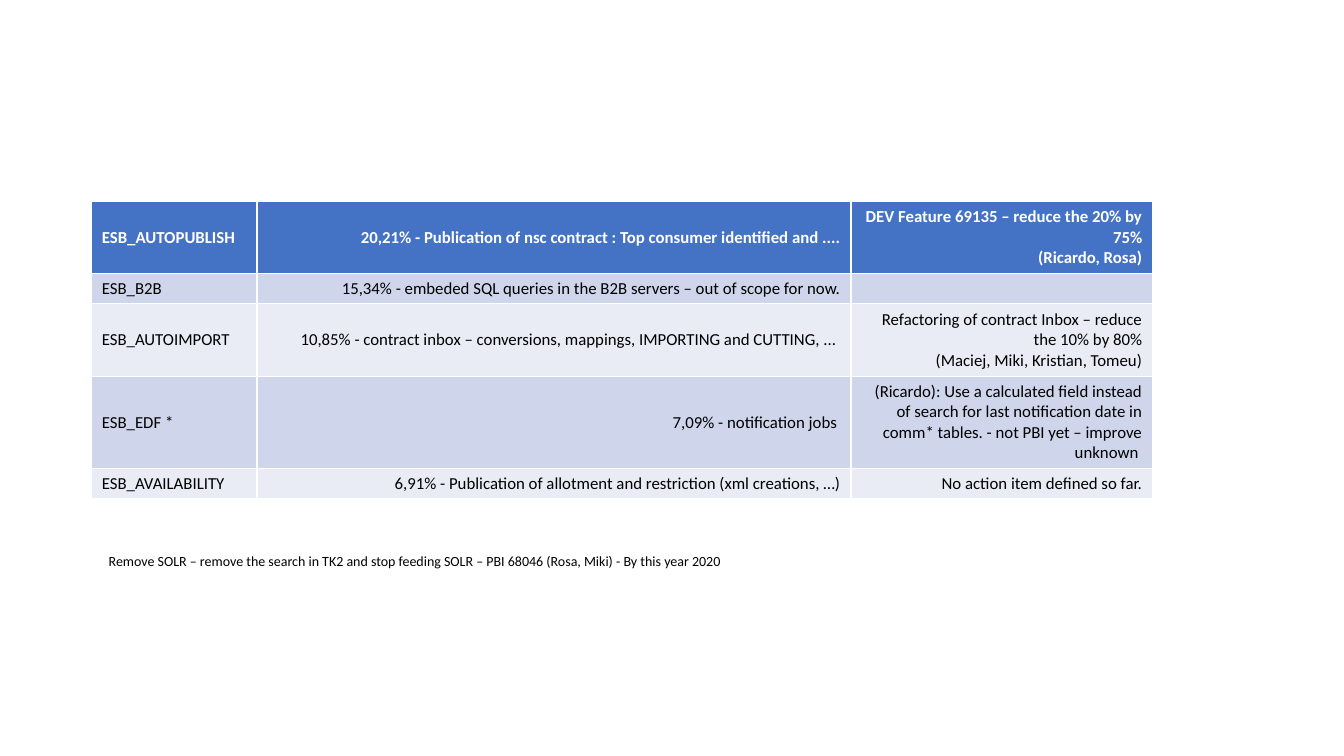
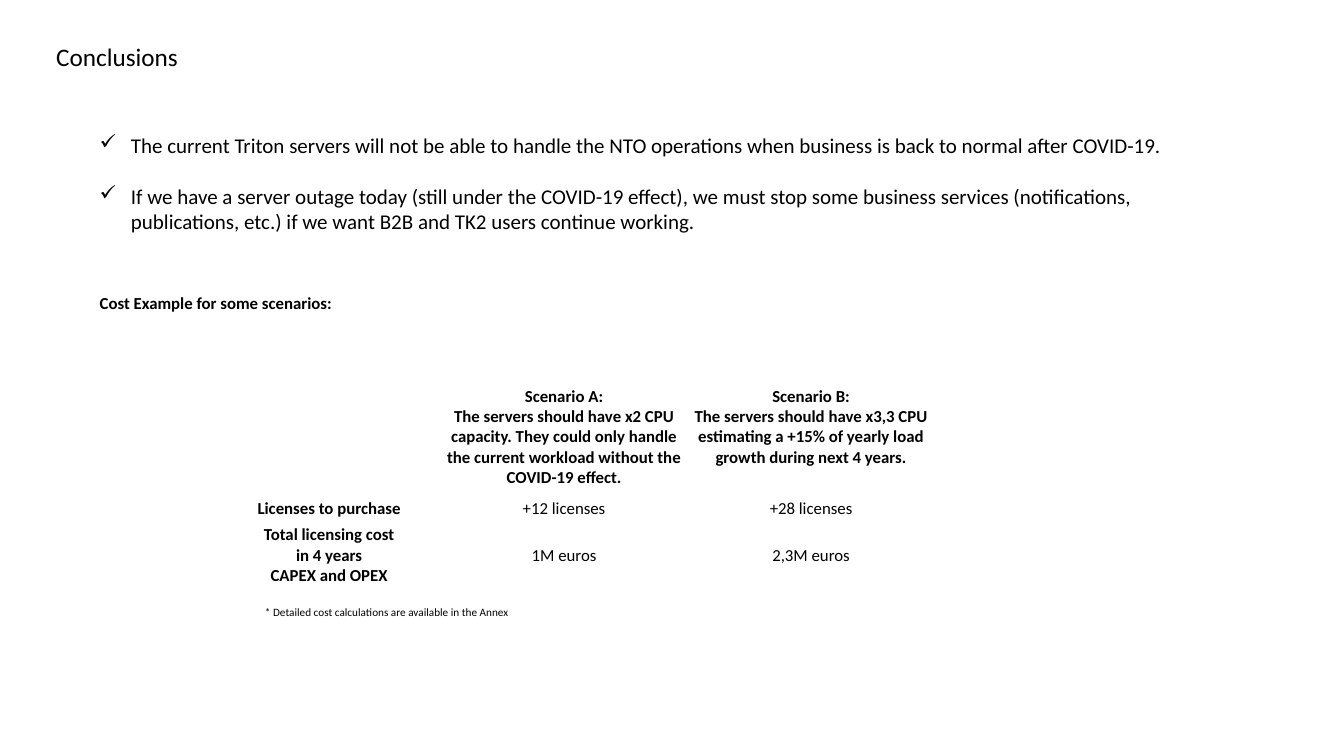
import lxml.etree
import pptx
import pptx.dml.color
import pptx.enum.text
import pptx.oxml.ns
import pptx.util

SLIDE_WIDTH, SLIDE_HEIGHT = 13.33, 7.5
FONT = "Calibri"
BLACK, WHITE = "000000", "FFFFFF"
HEADER_FILL = "4472C4"
BAND_FILLS = ("CFD5EA", "E9EBF5")
LEFT = pptx.enum.text.PP_ALIGN.LEFT
RIGHT = pptx.enum.text.PP_ALIGN.RIGHT
CENTER = pptx.enum.text.PP_ALIGN.CENTER
TOP = pptx.enum.text.MSO_ANCHOR.TOP
MIDDLE = pptx.enum.text.MSO_ANCHOR.MIDDLE

CONSUMERS = [
    ("ESB_AUTOPUBLISH",
     "20,21% - Publication of nsc contract : Top consumer identified and ....",
     "DEV Feature 69135 – reduce the 20% by 75%\n(Ricardo, Rosa)"),
    ("ESB_B2B",
     "15,34% - embeded SQL queries in the B2B servers – out of scope for now.",
     ""),
    ("ESB_AUTOIMPORT",
     "10,85% - contract inbox – conversions, mappings, IMPORTING and CUTTING, ... ",
     "Refactoring of contract Inbox – reduce the 10% by 80%\n"
     "(Maciej, Miki, Kristian, Tomeu)"),
    ("ESB_EDF *",
     "7,09% - notification jobs ",
     "(Ricardo): Use a calculated field instead of search for last notification "
     "date in comm* tables. - not PBI yet – improve unknown "),
    ("ESB_AVAILABILITY",
     "6,91% - Publication of allotment and restriction (xml creations, …)",
     "No action item defined so far."),
]

SCENARIOS = [
    ("",
     "Scenario A:\nThe servers should have x2 CPU capacity. They could only handle "
     "the current workload without the COVID-19 effect.",
     "Scenario B:\nThe servers should have x3,3 CPU estimating a +15% of yearly "
     "load growth during next 4 years."),
    ("Licenses to purchase", "+12 licenses", "+28 licenses"),
    ("Total licensing cost\nin 4 years\nCAPEX and OPEX", "1M euros", "2,3M euros"),
]

CONCLUSIONS = [
    "The current Triton servers will not be able to handle the NTO operations when "
    "business is back to normal after COVID-19.",
    "If we have a server outage today (still under the COVID-19 effect), we must stop "
    "some business services (notifications, publications, etc.) if we want B2B and "
    "TK2 users continue working.",
]


def inches(*lengths):
    return [pptx.util.Inches(length) for length in lengths]


def rgb(hex_color):
    return pptx.dml.color.RGBColor.from_string(hex_color)


def format_paragraph(paragraph, size, color=BLACK, bold=False, align=LEFT):
    paragraph.alignment = align
    for run in paragraph.runs:
        run.font.name = FONT
        run.font.size = pptx.util.Pt(size)
        run.font.bold = bold
        run.font.color.rgb = rgb(color)
    if not paragraph.runs:
        # An empty cell takes its line height from the end-of-paragraph size.
        end = lxml.etree.SubElement(paragraph._p, pptx.oxml.ns.qn("a:endParaRPr"))
        end.set("sz", str(size * 100))


def add_check_bullet(paragraph, indent=0.31):
    properties = paragraph._p.get_or_add_pPr()
    properties.set("marL", str(pptx.util.Inches(indent)))
    properties.set("indent", str(-pptx.util.Inches(indent)))
    bullet = lxml.etree.SubElement(properties, pptx.oxml.ns.qn("a:buChar"))
    bullet.set("char", "✓")


def add_text(slide, box, text, size):
    frame = slide.shapes.add_textbox(*inches(*box)).text_frame
    frame.word_wrap = True
    frame.text = text
    for paragraph in frame.paragraphs:
        format_paragraph(paragraph, size)
    return frame


def add_grid(slide, left, top, widths, heights):
    """Add a table whose outer size is the sum of its columns and rows."""
    box = inches(left, top, sum(widths), sum(heights))
    table = slide.shapes.add_table(len(heights), len(widths), *box).table
    for column, width in zip(table.columns, inches(*widths)):
        column.width = width
    for row, height in zip(table.rows, inches(*heights)):
        row.height = height
    return table


def fill_cell(cell, text, fill=None, **style):
    cell.text_frame.text = text
    cell.vertical_anchor = MIDDLE
    if fill:
        cell.fill.solid()
        cell.fill.fore_color.rgb = rgb(fill)
    else:
        cell.fill.background()
    for paragraph in cell.text_frame.paragraphs:
        format_paragraph(paragraph, 12, **style)


def add_consumer_table(slide, left, top):
    table = add_grid(slide, left, top, (1.64, 5.89, 2.99), (0.7, 0.3, 0.72, 0.91, 0.3))
    for row, texts in enumerate(CONSUMERS):
        header = row == 0
        fill = HEADER_FILL if header else BAND_FILLS[(row - 1) % 2]
        for column, text in enumerate(texts):
            fill_cell(table.cell(row, column), text, fill,
                      color=WHITE if header else BLACK, bold=header,
                      align=RIGHT if column else LEFT)


def add_scenario_table(slide, left, top):
    table = add_grid(slide, left, top, (2.21, 2.45, 2.45), (1.18, 0.22, 0.71))
    table.first_row = table.horz_banding = False
    for row, texts in enumerate(SCENARIOS):
        for column, text in enumerate(texts):
            cell = table.cell(row, column)
            fill_cell(cell, text, bold=row == 0 or column == 0, align=CENTER)
            cell.margin_left = cell.margin_right = pptx.util.Inches(0.01)
            cell.margin_top = pptx.util.Inches(0.01 if row else 0.08)
            cell.margin_bottom = 0
            if row == 0:
                cell.vertical_anchor = TOP


def add_conclusions(slide, box):
    frame = add_text(slide, box, "\n".join(CONCLUSIONS), 15)
    for paragraph in frame.paragraphs:
        add_check_bullet(paragraph)
    frame.paragraphs[1].space_before = pptx.util.Pt(18)
    heading = frame.add_paragraph()
    heading.text = "Cost Example for some scenarios:"
    heading.space_before = pptx.util.Pt(42)
    format_paragraph(heading, 12, bold=True)


def build_consumers_slide(slide):
    add_consumer_table(slide, 0.91, 2)
    add_text(slide, (0.98, 5.43, 6.4, 0.27),
             "Remove SOLR – remove the search in TK2 and stop feeding SOLR – "
             "PBI 68046 (Rosa, Miki) - By this year 2020", 10)


def build_conclusions_slide(slide):
    add_text(slide, (0.46, 0.36, 7.46, 0.4), "Conclusions", 18)
    add_conclusions(slide, (0.89, 1.27, 10.94, 2.12))
    add_scenario_table(slide, 2.16, 3.75)
    add_text(slide, (2.53, 5.96, 2.7, 0.24),
             "* Detailed cost calculations are available in the Annex", 8)


def main():
    presentation = pptx.Presentation()
    presentation.slide_width, presentation.slide_height = inches(SLIDE_WIDTH, SLIDE_HEIGHT)
    blank_layout = presentation.slide_layouts[6]
    for build in (build_consumers_slide, build_conclusions_slide):
        build(presentation.slides.add_slide(blank_layout))
    presentation.save("out.pptx")


if __name__ == "__main__":
    main()
